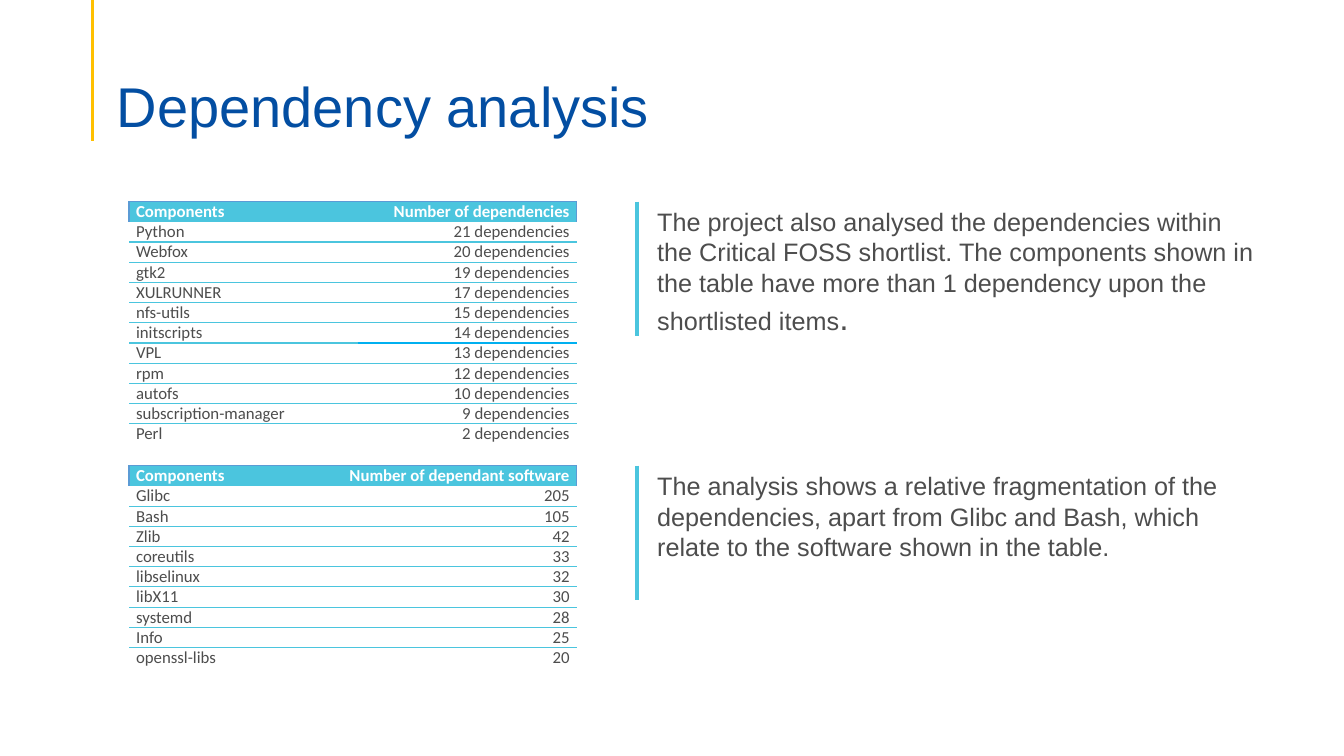
from lxml.etree import SubElement
from pptx import Presentation
from pptx.dml.color import RGBColor
from pptx.enum.shapes import MSO_CONNECTOR
from pptx.enum.text import MSO_ANCHOR, PP_ALIGN
from pptx.oxml.ns import qn
from pptx.util import Inches, Pt

CYAN, BLUE, GREY = "4BC5DE", "5B9BD5", "4D4D4D"
NO_STYLE = "{2D5ABB26-0587-4C30-8999-92F81FD0307C}"
ROW_HEIGHT = 0.2


def rgb(color):
    return RGBColor.from_string(color)


def add_text(left, top, width, height, runs, color):
    tf = slide.shapes.add_textbox(Inches(left), Inches(top), Inches(width), Inches(height)).text_frame
    tf.word_wrap = True
    p = tf.paragraphs[0]
    p.font.name = "Arial"
    p.font.color.rgb = rgb(color)
    for text, size in runs:
        r = p.add_run()
        r.text = text
        r.font.size = Pt(size)
    return tf


prs = Presentation()
prs.slide_width, prs.slide_height = Inches(13.33), Inches(7.5)
slide = prs.slides.add_slide(prs.slide_layouts[6])

for x, top, bottom, color, weight in [
    (0.92, 0, 1.4, "FFC000", 2.25),
    (6.32, 2, 3.33, CYAN, 3),
    (6.32, 4.62, 5.95, CYAN, 3),
]:
    line = slide.shapes.add_connector(MSO_CONNECTOR.STRAIGHT, Inches(x), Inches(top), Inches(x), Inches(bottom))
    line.line.color.rgb = rgb(color)
    line.line.width = Pt(weight)
    SubElement(line._element.spPr, qn("a:effectLst"))

title = add_text(1.06, 0.53, 11.5, 0.86, [("Dependency analysis", 40)], "034EA2")
title.vertical_anchor = MSO_ANCHOR.BOTTOM
title.margin_bottom = 0
title.paragraphs[0].line_spacing = 0.9

add_text(6.42, 2, 6.14, 2.4, [
    ("The project also analysed the dependencies within the Critical FOSS shortlist. "
     "The components shown in the table have more than 1 dependency upon the shortlisted items", 18),
    (".", 24),
], GREY)
add_text(6.42, 4.62, 6.06, 2, [
    ("The analysis shows a relative fragmentation of the dependencies, apart from Glibc and Bash, "
     "which relate to the software shown in the table.", 18),
], GREY)

dependencies = [
    ("Python", 21), ("Webfox", 20), ("gtk2", 19), ("XULRUNNER", 17),
    ("nfs-utils", 15), ("initscripts", 14), ("VPL", 13), ("rpm", 12),
    ("autofs", 10), ("subscription-manager", 9), ("Perl", 2),
]
dependants = [
    ("Glibc", 205), ("Bash", 105), ("Zlib", 42), ("coreutils", 33), ("libselinux", 32),
    ("libX11", 30), ("systemd", 28), ("Info", 25), ("openssl-libs", 20),
]

for top, widths, heading, unit, items in [
    (2, (2.27, 2.17), "Number of dependencies", " dependencies", dependencies),
    (4.62, (2.01, 2.43), "Number of dependant software", "", dependants),
]:
    rows = [("Components", heading)] + [(name, f"{count}{unit}") for name, count in items]
    frame = slide.shapes.add_table(len(rows), 2, Inches(1.28), Inches(top),
                                   Inches(sum(widths)), Inches(ROW_HEIGHT * len(rows)))
    table = frame.table
    table.horz_banding = False
    table._tbl.tblPr.find(qn("a:tableStyleId")).text = NO_STYLE
    for column, width in zip(table.columns, widths):
        column.width = Inches(width)
    for i, row in enumerate(rows):
        table.rows[i].height = Inches(ROW_HEIGHT)
        for j, text in enumerate(row):
            cell = table.cell(i, j)
            cell.margin_left = cell.margin_right = Inches(0.07)
            cell.margin_top = cell.margin_bottom = 0
            p = cell.text_frame.paragraphs[0]
            p.text = text
            p.alignment = PP_ALIGN.RIGHT if j else PP_ALIGN.JUSTIFY
            p.font.name = "Calibri"
            p.font.size = Pt(12)
            p.font.bold = i == 0
            p.font.color.rgb = rgb(GREY if i else "FFFFFF")

            borders = {}
            if i == 0:
                borders = {"R" if j else "L": BLUE, "T": BLUE}
            else:
                if i > 1:
                    borders["T"] = "00B0F0" if j and rows[i - 1][0] == "initscripts" else CYAN
                if i < len(rows) - 1:
                    borders["B"] = "00B0F0" if j and row[0] == "initscripts" else CYAN
            tcPr = cell._tc.get_or_add_tcPr()
            for side in "LRTB":
                if side in borders:
                    ln = SubElement(tcPr, qn(f"a:ln{side}"), w=str(Pt(1)))
                    SubElement(SubElement(ln, qn("a:solidFill")), qn("a:srgbClr"), val=borders[side])
            if i == 0:
                cell.fill.solid()
                cell.fill.fore_color.rgb = rgb(CYAN)
            else:
                cell.fill.background()

prs.save("out.pptx")
